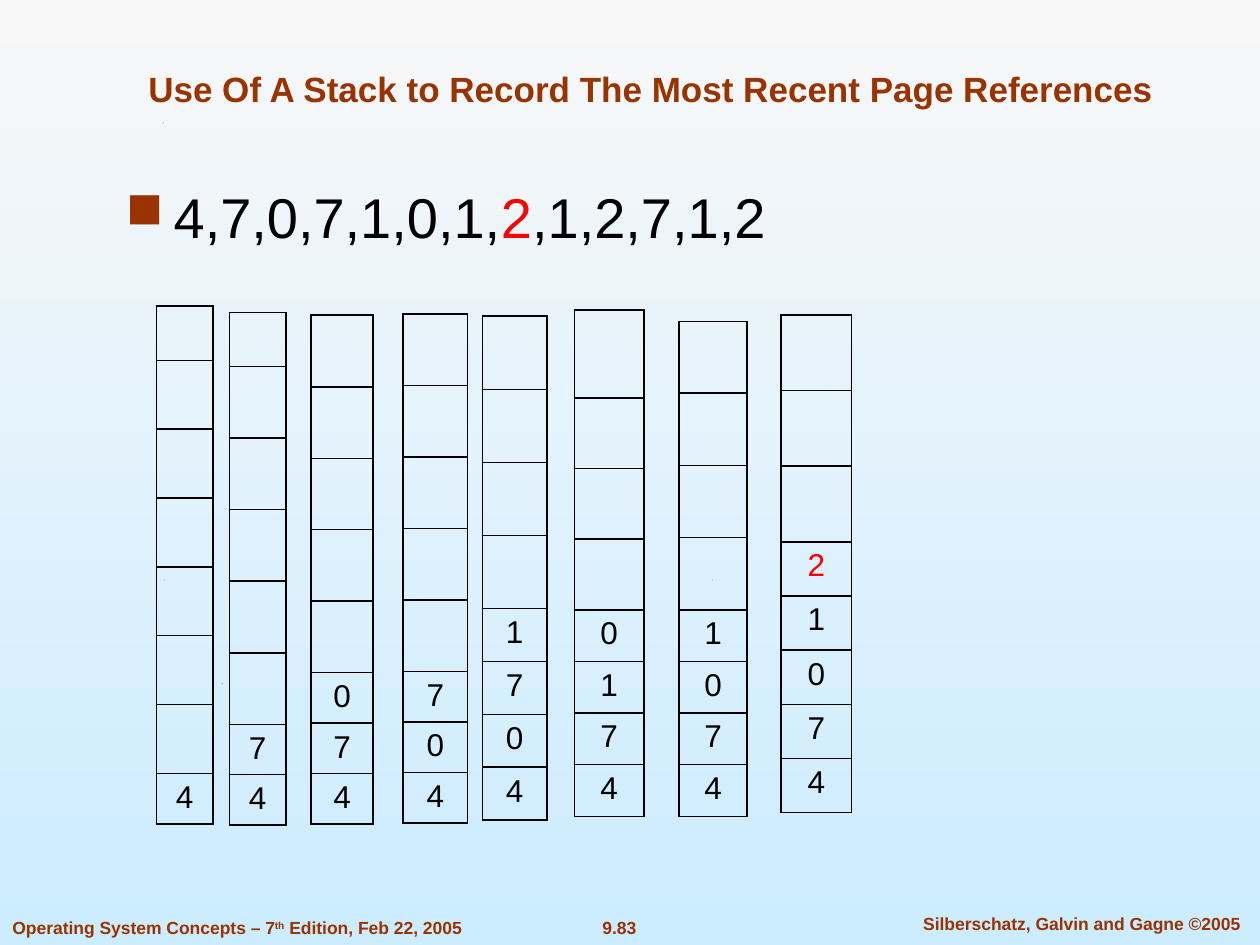
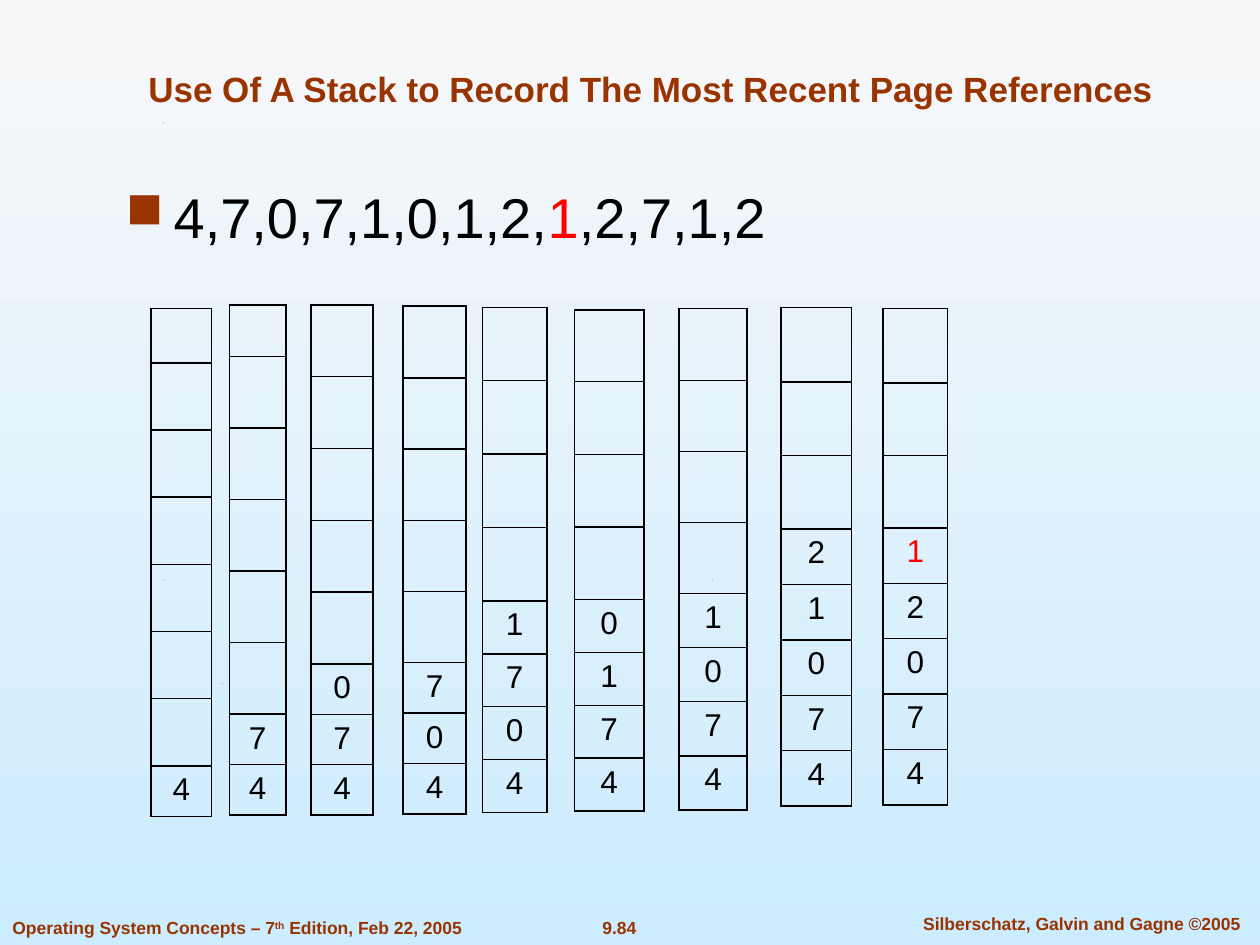
from lxml.etree import SubElement
from pptx import Presentation
from pptx.dml.color import RGBColor
from pptx.enum.text import MSO_ANCHOR as Anchor, PP_ALIGN as Align
from pptx.oxml import parse_xml
from pptx.oxml.ns import nsdecls, qn
from pptx.util import Inches, Pt

RUST = RGBColor(0x99, 0x33, 0x00)
BLACK = RGBColor(0x00, 0x00, 0x00)
RED = RGBColor(0xFF, 0x00, 0x00)
SKY_TOP = RGBColor(0xF8, 0xF8, 0xF8)
SKY_BOTTOM = RGBColor(0xCC, 0xEC, 0xFF)

TITLE = "Use Of A Stack to Record The Most Recent Page References"
REFERENCES = "4,7,0,7,1,0,1,2,1,2,7,1,2".split(",")
FRAMES = 8
SPECKS = [(1.76, 5.42), (1.3, 4.6), (5.65, 4.6), (1.29, 0.97)]

# left, top, width, height, first row height, page row height, pages from the top
STACKS_BY_SLIDE = {
    "9.83": [
        (1.24, 2.43, 0.45, 4.11, 0.43, 0.4, "4"),
        (1.82, 2.48, 0.45, 4.07, 0.43, 0.4, "74"),
        (2.47, 2.5, 0.49, 4.04, 0.57, 0.4, "074"),
        (3.2, 2.49, 0.51, 4.04, 0.57, 0.4, "704"),
        (3.83, 2.51, 0.51, 4.0, 0.58, 0.42, "1704"),
        (4.56, 2.46, 0.55, 4.02, 0.7, 0.41, "0174"),
        (5.39, 2.55, 0.54, 3.93, 0.57, 0.41, "1074"),
        (6.2, 2.5, 0.56, 3.95, 0.6, 0.43, "21074"),
    ],
    "9.84": [
        (1.2, 2.45, 0.48, 4.03, 0.43, 0.4, "4"),
        (1.82, 2.42, 0.45, 4.05, 0.41, 0.4, "74"),
        (2.47, 2.42, 0.49, 4.05, 0.57, 0.4, "074"),
        (3.2, 2.43, 0.5, 4.03, 0.57, 0.4, "704"),
        (3.83, 2.44, 0.51, 4.01, 0.58, 0.42, "1704"),
        (4.56, 2.46, 0.55, 3.98, 0.57, 0.42, "0174"),
        (5.39, 2.45, 0.54, 3.98, 0.57, 0.43, "1074"),
        (6.2, 2.44, 0.56, 3.96, 0.59, 0.44, "21074"),
        (7.01, 2.45, 0.51, 3.94, 0.59, 0.44, "12074"),
    ],
}


def add_text(slide, box, texts, size, color, bold=True, align=Align.CENTER, space=0, wrap=True):
    frame = slide.shapes.add_textbox(*map(Inches, box)).text_frame
    frame.word_wrap = wrap
    paragraph = frame.paragraphs[0]
    paragraph.alignment = align
    paragraph.font.name = "Arial"
    paragraph.font.size = Pt(size)
    paragraph.font.bold = bold
    paragraph.font.color.rgb = color
    for text in texts:
        run = paragraph.add_run()
        run.text = text
        run.font.name = "Arial"
        run.font.size = Pt(size)
        run.font.bold = bold
        run.font.color.rgb = color
    if space:
        before = parse_xml(f'<a:spcBef {nsdecls("a")}><a:spcPct val="{space * 1000}"/></a:spcBef>')
        paragraph._p.get_or_add_pPr().insert(0, before)
    return frame


def outline_cell(cell):
    cell.fill.background()
    properties = cell._tc.get_or_add_tcPr()
    for position, side in enumerate(("lnL", "lnR", "lnT", "lnB")):
        properties.insert(position, parse_xml(
            f'<a:{side} {nsdecls("a")} w="12700"><a:solidFill>'
            f'<a:srgbClr val="{BLACK}"/></a:solidFill></a:{side}>'))


prs = Presentation()
prs.slide_width = Inches(10)
prs.slide_height = Inches(7.5)

sky = prs.slide_master.background.fill
sky.gradient()
sky.gradient_angle = 270
for stop, color, position in zip(sky.gradient_stops, (SKY_TOP, SKY_BOTTOM), (0, 1)):
    stop.color.rgb = color
    stop.position = position

for page_number, stacks in STACKS_BY_SLIDE.items():
    slide = prs.slides.add_slide(prs.slide_layouts[6])

    for x, y in SPECKS:
        outline = slide.shapes.build_freeform(Inches(x), Inches(y + 0.01), scale=1.0)
        outline.add_line_segments([(Inches(x + 0.01), Inches(y)), (Inches(x), Inches(y + 0.01))])
        speck = outline.convert_to_shape()
        speck.shadow.inherit = False
        speck.fill.solid()
        speck.fill.fore_color.rgb = BLACK
        speck.line.fill.background()

    add_text(slide, (4.67, 7.23, 0.49, 0.27), [page_number], 10, RUST, space=50, wrap=False)
    add_text(slide, (7.1, 7.2, 2.97, 0.27), ["Silberschatz, Galvin and Gagne ©2005"], 10, RUST, space=50)
    edition = add_text(slide, (0, 7.23, 3.78, 0.27),
                       ["Operating System Concepts – 7", "th", " Edition, Feb 22, 2005"],
                       10, RUST, align=Align.LEFT, space=50, wrap=False)
    edition.paragraphs[0].runs[1].font._element.set("baseline", "30000")

    title = add_text(slide, (0.75, 0.25, 8.83, 0.67), [TITLE], 20, RUST)
    title.vertical_anchor = Anchor.BOTTOM

    current = len(stacks) - 1
    sequence = add_text(slide, (0.9, 1.4, 8.04, 0.73),
                        [",".join(REFERENCES[:current]) + ",", REFERENCES[current],
                         "," + ",".join(REFERENCES[current + 1:])],
                        32, BLACK, bold=False, align=Align.LEFT, space=35).paragraphs[0]
    sequence.runs[1].font.color.rgb = RED
    bullet = sequence._p.get_or_add_pPr()
    bullet.set("marL", str(Inches(0.38)))
    bullet.set("indent", str(Inches(-0.38)))
    bullet_color = parse_xml(f'<a:buClr {nsdecls("a")}><a:srgbClr val="{RUST}"/></a:buClr>')
    bullet.insert(1, bullet_color)
    bullet_size = parse_xml(f'<a:buSzPct {nsdecls("a")} val="90000"/>')
    bullet_color.addnext(bullet_size)
    bullet_mark = SubElement(bullet, qn("a:buChar"), char="■")
    bullet_size.addnext(bullet_mark)

    for index, (left, top, width, height, first_row, page_row, pages) in enumerate(stacks):
        empty = FRAMES - len(pages)
        empty_row = (height - first_row - page_row * len(pages)) / (empty - 1)
        row_heights = [first_row] + [empty_row] * (empty - 1) + [page_row] * len(pages)
        stack = slide.shapes.add_table(
            FRAMES, 1, Inches(left), Inches(top), Inches(width), Inches(height)).table
        stack.first_row = False
        stack.horz_banding = False
        for row, row_height in enumerate(row_heights):
            stack.rows[row].height = Inches(row_height)
            cell = stack.cell(row, 0)
            outline_cell(cell)
            if row >= empty:
                cell.text = pages[row - empty]
                entry = cell.text_frame.paragraphs[0]
                entry.alignment = Align.CENTER
                entry.font.name = "Arial"
                entry.font.size = Pt(18)
                newest = index == current and row == empty
                entry.font.color.rgb = RED if newest else BLACK

prs.save("out.pptx")
